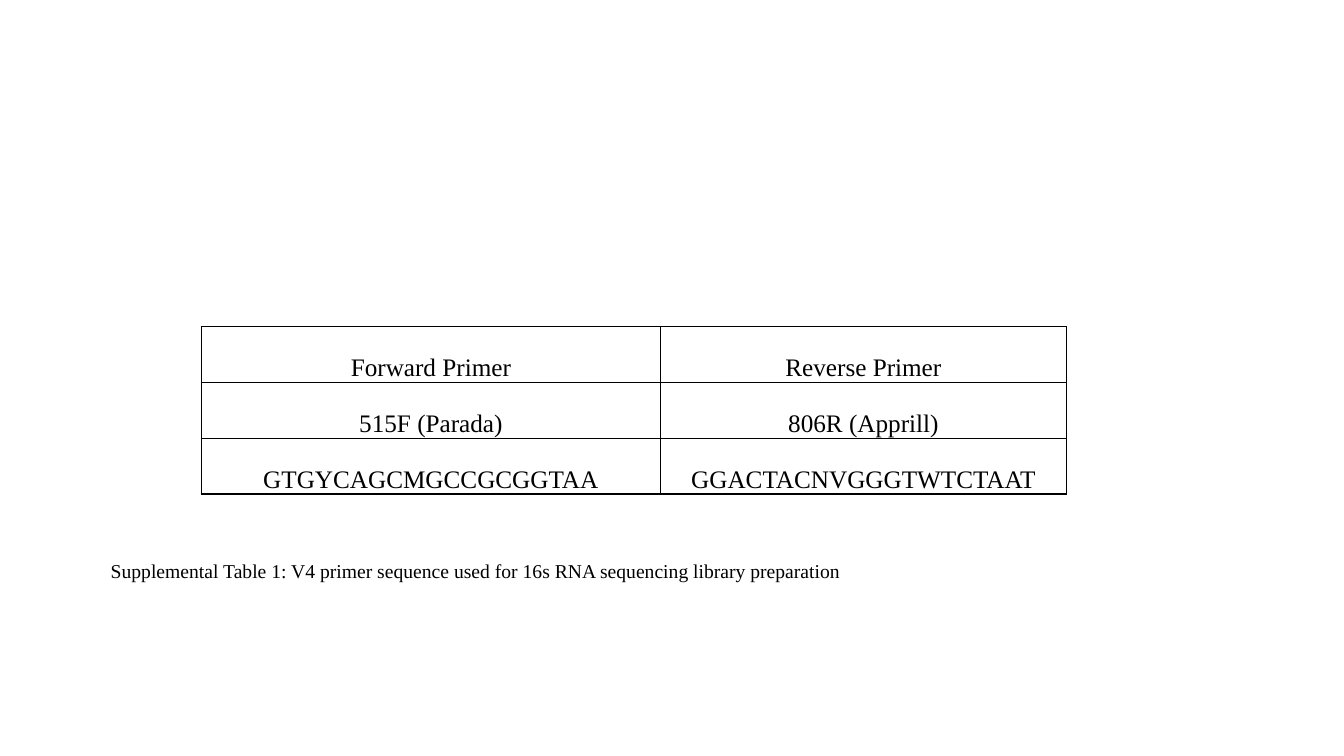
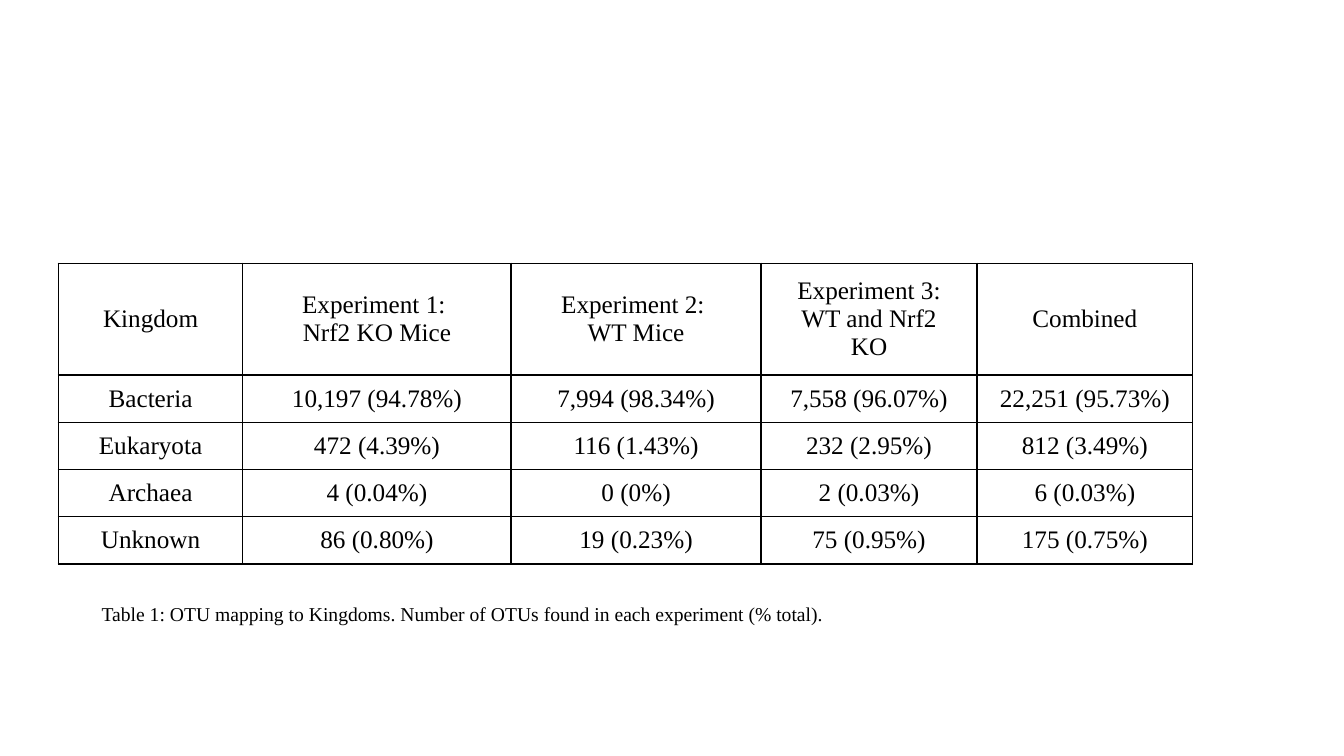
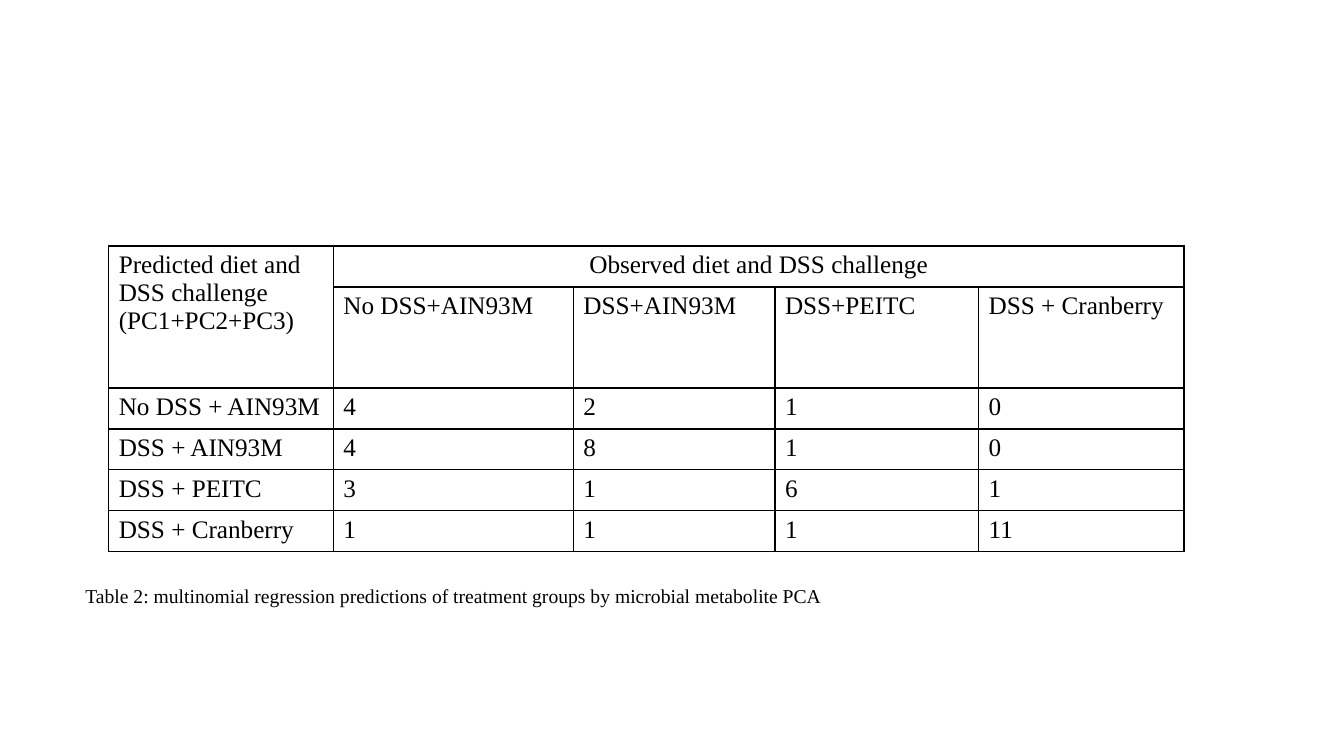
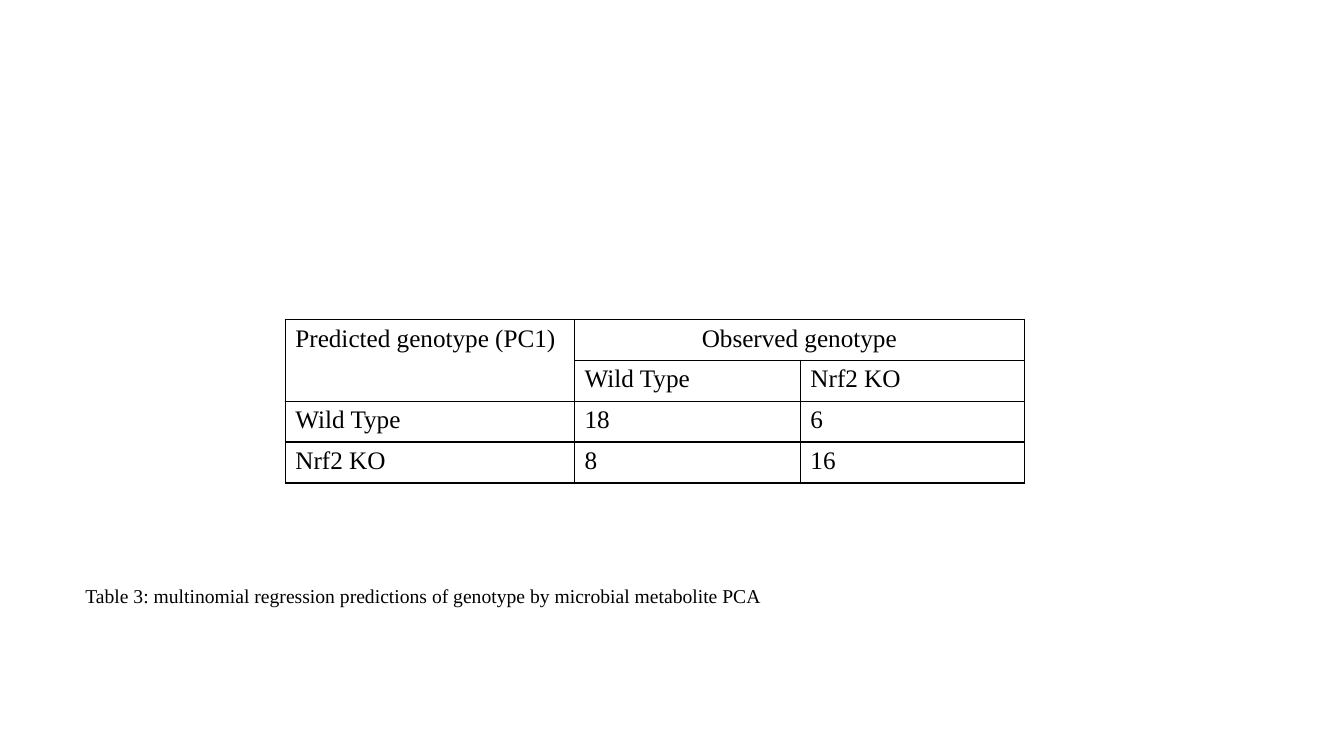
from lxml.etree import SubElement
from pptx import Presentation
from pptx.dml.color import RGBColor
from pptx.enum.text import MSO_ANCHOR as Anchor, MSO_AUTO_SIZE as AutoSize, PP_ALIGN as Align
from pptx.oxml.ns import qn
from pptx.util import Cm, Pt

COLORS = {"ink": "000000", "page": "FFFFFF"}
FONT = "Times New Roman"
TABLE_SIZE, CAPTION_SIZE = 18, 14
BORDER = Pt(1)
ROW = 1.03
CENTERED = {"alignment": Align.CENTER}


def set_all(obj, values):
    for name, value in values.items():
        setattr(obj, name, value)


def margins(x, y):
    return {"margin_left": Cm(x), "margin_right": Cm(x),
            "margin_top": Cm(y), "margin_bottom": Cm(y)}


class Deck:
    """Holds the presentation, its style and the current slide."""

    def __init__(self):
        self.prs = Presentation()
        set_all(self.prs, {"slide_width": Cm(33.87), "slide_height": Cm(19.05)})
        self.s = None

    def slide(self):
        self.s = self.prs.slides.add_slide(self.prs.slide_layouts[6])
        fill = self.s.background.fill
        fill.solid()
        fill.fore_color.rgb = RGBColor.from_string(COLORS["page"])

    def put_text(self, tf, text, size, para_format):
        tf.text = text
        for p in tf.paragraphs:
            set_all(p, para_format)
            for r in p.runs:
                set_all(r.font, {"name": FONT, "size": Pt(size)})
                r.font.color.rgb = RGBColor.from_string(COLORS["ink"])

    def caption(self, x, y, width, text):
        tf = self.s.shapes.add_textbox(Cm(x), Cm(y), Cm(width), Cm(0.86)).text_frame
        set_all(tf, {"word_wrap": True, "auto_size": AutoSize.SHAPE_TO_FIT_TEXT})
        self.put_text(tf, text, CAPTION_SIZE, {})

    def borders(self, cell):
        tc_pr = cell._tc.get_or_add_tcPr()
        for side in ("lnL", "lnR", "lnT", "lnB"):
            ln = SubElement(tc_pr, qn(f"a:{side}"), w=str(BORDER))
            SubElement(SubElement(ln, qn("a:solidFill")), qn("a:srgbClr"), val=COLORS["ink"])

    def table(self, x, y, cols, heights, rows, para_format=None, cell_format=None, head_format=None):
        """Draw a bordered grid; head_format replaces cell_format in the first row."""
        table = self.s.shapes.add_table(len(rows), len(cols), Cm(x), Cm(y),
                                        Cm(sum(cols)), Cm(sum(heights))).table
        set_all(table, {"first_row": False, "horz_banding": False})
        for col, width in zip(table.columns, cols):
            col.width = Cm(width)
        for i, (row, height, texts) in enumerate(zip(table.rows, heights, rows)):
            row.height = Cm(height)
            for cell, text in zip(row.cells, texts):
                self.borders(cell)
                cell.fill.background()
                set_all(cell, (head_format if i == 0 else None) or cell_format or {})
                self.put_text(cell.text_frame, text, TABLE_SIZE, para_format or {})
        return table

    def prediction_table(self, x, y, cols, heights, predicted, observed, groups, results):
        """Cross table with a tall corner cell and one heading over all groups."""
        rows = [[predicted, observed] + [""] * (len(groups) - 1), ["", *groups], *results]
        table = self.table(x, y, cols, heights, rows)
        table.cell(0, 0).merge(table.cell(1, 0))
        table.cell(0, 1).merge(table.cell(0, len(groups)))
        set_all(table.cell(0, 1).text_frame.paragraphs[0], CENTERED)


def main():
    deck = Deck()
    middle = {"vertical_anchor": Anchor.MIDDLE}

    deck.slide()
    deck.table(5.08, 8.22, [11.56, 10.24], [1.41] * 3, [
        ["Forward Primer", "Reverse Primer"],
        ["515F (Parada)", "806R (Apprill)"],
        ["GTGYCAGCMGCCGCGGTAA", "GGACTACNVGGGTWTCTAAT"],
    ], CENTERED | {"line_spacing": 2.0}, middle | margins(0.18, 0))
    deck.caption(2.54, 13.97, 29.21,
                 "Supplemental Table 1: V4 primer sequence used for 16s RNA sequencing library preparation")

    deck.slide()
    deck.table(1.47, 6.63, [4.65, 6.76, 6.3, 5.44, 5.44], [2.82] + [1.19] * 4, [
        ["Kingdom", "Experiment 1: \nNrf2 KO Mice", "Experiment 2: \nWT Mice",
         "Experiment 3:\nWT and Nrf2 KO", "Combined"],
        ["Bacteria", "10,197 (94.78%)", "7,994 (98.34%)", "7,558 (96.07%)", "22,251 (95.73%)"],
        ["Eukaryota", "472 (4.39%)", "116 (1.43%)", "232 (2.95%)", "812 (3.49%)"],
        ["Archaea", "4 (0.04%)", "0 (0%)", "2 (0.03%)", "6 (0.03%)"],
        ["Unknown", "86 (0.80%)", "19 (0.23%)", "75 (0.95%)", "175 (0.75%)"],
    ], CENTERED, middle | margins(0.25, 0.2), middle | margins(0.48, 0.25))
    deck.caption(2.31, 15.04, 23.93,
                 "Table 1: OTU mapping to Kingdoms. Number of OTUs found in each experiment (% total).")

    deck.slide()
    deck.caption(1.9, 14.58, 26.67,
                 "Table 2: multinomial regression predictions of treatment groups by microbial metabolite PCA")
    deck.prediction_table(
        2.74, 6.2, [5.66, 6.05, 5.08, 5.13, 5.18], [ROW, 2.55] + [ROW] * 4,
        "Predicted diet and DSS challenge (PC1+PC2+PC3)", "Observed diet and DSS challenge",
        ["No DSS+AIN93M", "DSS+AIN93M", "DSS+PEITC", "DSS + Cranberry"], [
            ["No DSS + AIN93M", "4", "2", "1", "0"],
            ["DSS + AIN93M", "4", "8", "1", "0"],
            ["DSS + PEITC", "3", "1", "6", "1"],
            ["DSS + Cranberry", "1", "1", "1", "11"],
        ])

    deck.slide()
    deck.caption(1.9, 14.6, 25.83,
                 "Table 3: multinomial regression predictions of genotype by microbial metabolite PCA")
    deck.prediction_table(
        7.19, 8.05, [7.29, 5.69, 5.64], [ROW] * 4,
        "Predicted genotype (PC1)", "Observed genotype", ["Wild Type", "Nrf2 KO"], [
            ["Wild Type", "18", "6"],
            ["Nrf2 KO", "8", "16"],
        ])

    deck.prs.save("out.pptx")


if __name__ == "__main__":
    main()
